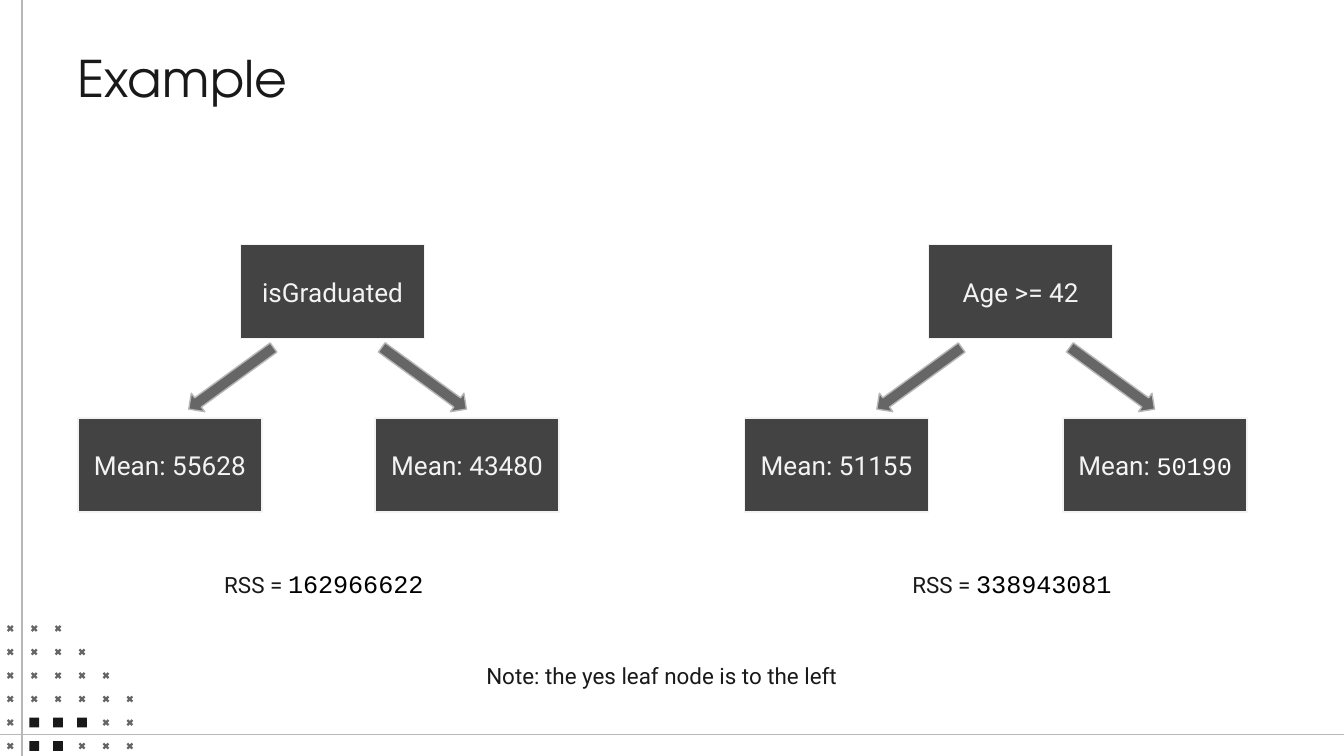
"""Build a slide that compares two one-split regression trees."""
import pptx
import pptx.dml.color
import pptx.enum.shapes
import pptx.enum.text
import pptx.oxml
import pptx.util

KIND = pptx.enum.shapes.MSO_SHAPE
SIDE = pptx.enum.text.MSO_ANCHOR
ALIGN = pptx.enum.text.PP_ALIGN
COLS, ROWS = 100, 56.25
CELL = pptx.util.Inches(0.1)

FONTS = {
    "title": ({"name": "TeX Gyre Adventor", "size": pptx.util.Pt(27)}, "191919"),
    "node": ({"name": "Roboto", "size": pptx.util.Pt(14)}, "F3F3F3"),
    "body": ({"name": "Roboto", "size": pptx.util.Pt(12)}, "191919"),
    "code": ({"name": "Courier New", "size": pptx.util.Pt(13.5)}, "000000"),
    "pale": ({"name": "Courier New", "size": pptx.util.Pt(13.5)}, "FFFFFF"),
}

deck = pptx.Presentation()
deck.slide_width, deck.slide_height = int(COLS * CELL), int(ROWS * CELL)
slide = deck.slides.add_slide(deck.slide_layouts[6])


def ink(part, tone):
    if hasattr(part, "solid"):
        part.solid()
        part = part.fore_color
    part.rgb = pptx.dml.color.RGBColor.from_string(tone)


def draw(kind, area, fill=None, edge=None, runs=(), side=SIDE.TOP, align=ALIGN.LEFT):
    spot = [int(n * CELL) for n in area]
    if kind is None:
        item = slide.shapes.add_textbox(*spot)
    else:
        item = slide.shapes.add_shape(kind, *spot)
        item.shadow.inherit = False
        ink(item.fill, fill)
        if edge:
            ink(item.line.color, edge)
            item.line.width = pptx.util.Pt(0.75)
        else:
            item.line.fill.background()
    if runs:
        frame = item.text_frame
        look = {"word_wrap": True, "vertical_anchor": side}
        look.update({f"margin_{edge}": CELL for edge in ("left", "right", "top", "bottom")})
        for key, value in look.items():
            setattr(frame, key, value)
        line = frame.paragraphs[0]
        line.alignment = align
        for text, style in runs:
            run = line.add_run()
            run.text = text
            form, tone = FONTS[style]
            for key, value in form.items():
                setattr(run.font, key, value)
            ink(run.font.color, tone)
    return item


for ends in ((1.65, 0, 1.65, ROWS), (0, 54.65, COLS, 54.65)):
    rule = slide.shapes.add_connector(
        pptx.enum.shapes.MSO_CONNECTOR.STRAIGHT, *[int(n * CELL) for n in ends])
    ink(rule.line.color, "B7B7B7")
    rule.line.width = pptx.util.Pt(0.75)
    rule._element.spPr.append(pptx.oxml.parse_xml(
        '<a:effectLst xmlns:a="http://schemas.openxmlformats.org/drawingml/2006/main"/>'))

solid = {(4, 1), (4, 2), (4, 3), (5, 1), (5, 2)}
for row, count in enumerate((3, 4, 5, 6, 6, 6)):
    for col in range(count):
        area = (0.4 + 1.78 * col, 46.4 + 1.75 * row, 0.73, 0.73)
        if (row, col) in solid:
            draw(KIND.RECTANGLE, area, "191919")
        else:
            draw(KIND.MATH_MULTIPLY, area, "666666").adjustments[0] = 0.235

draw(None, (4.8, 2.5, 36.2, 6.5), runs=[("Example", "title")], side=SIDE.BOTTOM)

trees = (
    (0, 5.8, "isGraduated", "55628", ("43480", "node"), "162966622"),
    (51.2, 55.4, "Age >= 42", "51155", ("50190", "pale"), "338943081"),
)
for left, leaf, test, yes, no, score in trees:
    nodes = (
        (left + 17.9, 18.2, [(test, "node")]),
        (leaf, 31.1, [(f"Mean: {yes}", "node")]),
        (left + 27.9, 31.1, [("Mean: ", "node"), no]),
    )
    for x, y, runs in nodes:
        draw(KIND.RECTANGLE, (x, y, 13.7, 7), "434343", "F3F3F3", runs,
             SIDE.MIDDLE, ALIGN.CENTER)
    for x, turn in ((13.3, 144), (27.65, 36.1)):
        arrow = draw(KIND.RIGHT_ARROW, (left + x, 27.3, 7.8, 1.7), "666666", "B7B7B7")
        arrow.rotation = turn
    draw(None, (left + 15.7, 41.3, 19.1, 6.9), runs=[("RSS = ", "body"), (score, "code")])

draw(None, (35.2, 48.3, 36.2, 5),
     runs=[("Note: the yes leaf node is to the left", "body")])

deck.save("out.pptx")
